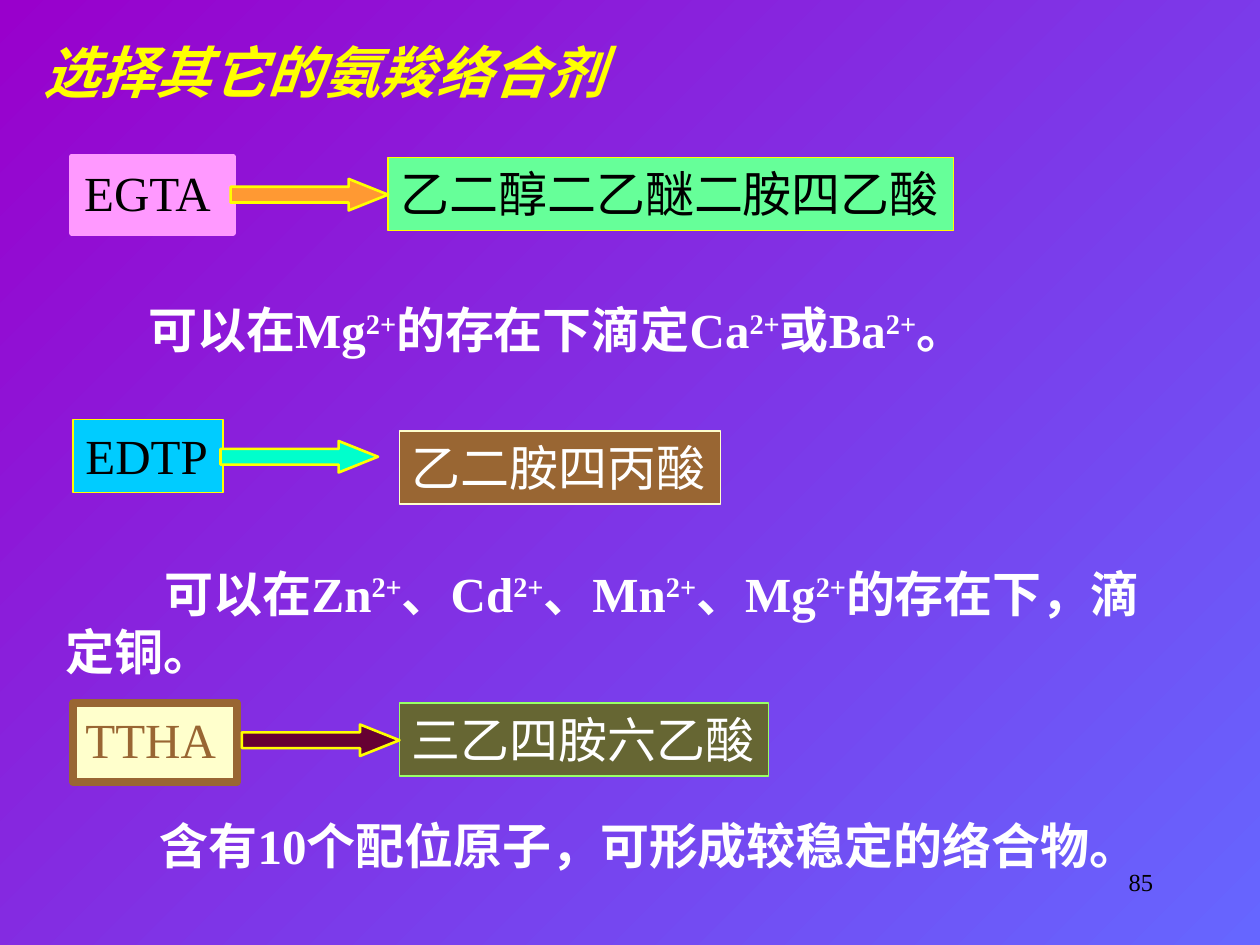
import pptx
import pptx.util
import pptx.dml.color
import pptx.enum.shapes
import pptx.enum.text

Inches = pptx.util.Inches
Pt = pptx.util.Pt
RGBColor = pptx.dml.color.RGBColor
SHAPE = pptx.enum.shapes.MSO_SHAPE
ALIGN = pptx.enum.text.PP_ALIGN
ANCHOR = pptx.enum.text.MSO_ANCHOR

FONT = "Times New Roman"
PURPLE = RGBColor(0x99, 0x00, 0xCC)
PERIWINKLE = RGBColor(0x66, 0x66, 0xFF)
YELLOW = RGBColor(0xFF, 0xFF, 0x00)
BLACK = RGBColor(0x00, 0x00, 0x00)
WHITE = RGBColor(0xFF, 0xFF, 0xFF)
PINK = RGBColor(0xFF, 0x99, 0xFF)
ORANGE = RGBColor(0xFF, 0x99, 0x33)
MINT = RGBColor(0x66, 0xFF, 0x99)
SKY = RGBColor(0x00, 0xCC, 0xFF)
AQUA = RGBColor(0x00, 0xFF, 0xCC)
BROWN = RGBColor(0x99, 0x66, 0x33)
CREAM = RGBColor(0xFF, 0xFF, 0xCC)
MAROON = RGBColor(0x66, 0x00, 0x33)
OLIVE = RGBColor(0x66, 0x66, 0x33)
LIME = RGBColor(0x99, 0xFF, 0x66)

deck = pptx.Presentation()
deck.slide_width = Inches(10)
deck.slide_height = Inches(7.5)
slide = deck.slides.add_slide(deck.slide_layouts[6])

# Diagonal gradient background
backdrop = slide.background.fill
backdrop.gradient()
backdrop.gradient_angle = 315
for stop, position, color in zip(backdrop.gradient_stops, (0, 1), (PURPLE, PERIWINKLE)):
    stop.position = position
    stop.color.rgb = color


def add_shape(kind, place, fill, line, weight):
    shape = slide.shapes.add_shape(kind, *[Inches(length) for length in place])
    shape.shadow.inherit = False
    shape.fill.solid()
    shape.fill.fore_color.rgb = fill
    shape.line.color.rgb = line
    shape.line.width = Pt(weight)
    return shape


def write(box, text, size, color, bold=False, align=ALIGN.LEFT):
    """Fill a box with text; parts between ^ marks are superscripts."""
    frame = box.text_frame
    frame.word_wrap = True
    frame.vertical_anchor = ANCHOR.TOP
    para = frame.paragraphs[0]
    para.alignment = align
    para.font.name = FONT
    para.font.size = Pt(size)
    para.font.bold = bold
    para.font.color.rgb = color
    for index, part in enumerate(text.split("^")):
        span = para.add_run()
        span.text = part
        if index % 2:
            span.font._element.set("baseline", "30000")
    return para


# Title
title = slide.shapes.add_textbox(Inches(0.25), Inches(0.25), Inches(7.92), Inches(0.64))
write(title, "选择其它的氨羧络合剂", 32, YELLOW, bold=True).font.italic = True

# Abbreviation and full name of each agent: place, text, text colour, fill, line, weight
names = [
    ((0.57, 1.24, 1.28, 0.61), "EGTA", BLACK, PINK, PINK, 3),
    ((3.08, 1.25, 4.49, 0.58), "乙二醇二乙醚二胺四乙酸", BLACK, MINT, YELLOW, 0.75),
    ((0.58, 3.33, 1.19, 0.58), "EDTP", BLACK, SKY, YELLOW, 0.75),
    ((3.17, 3.42, 2.55, 0.58), "乙二胺四丙酸", WHITE, BROWN, CREAM, 0.75),
    ((0.58, 5.58, 1.3, 0.63), "TTHA", BROWN, CREAM, BROWN, 4.5),
    ((3.17, 5.58, 2.93, 0.58), "三乙四胺六乙酸", WHITE, OLIVE, LIME, 0.75),
]
for place, text, color, fill, line, weight in names:
    box = add_shape(SHAPE.RECTANGLE, place, fill, line, weight)
    box.text_frame.margin_right = 0
    write(box, text, 28, color)

# Arrows from abbreviation to full name
for left, top, fill in [(1.83, 1.42, ORANGE), (1.75, 3.5, AQUA), (1.92, 5.75, MAROON)]:
    arrow = add_shape(SHAPE.RIGHT_ARROW, (left, top, 1.25, 0.25), fill, YELLOW, 1.5)
    arrow.adjustments[0] = 0.5
    arrow.adjustments[1] = 1.25

# Uses of each agent: place, first-line indent, text
notes = [
    ((1.08, 2.33, 6.84, 1.03), 0, "可以在Mg^2+^的存在下滴定Ca^2+^或Ba^2+^。"),
    ((0.42, 4.42, 9.08, 1.03), 0.79,
     "可以在Zn^2+^、Cd^2+^、Mn^2+^、Mg^2+^的存在下，滴定铜。"),
    ((1.17, 6.42, 8.3, 0.57), 0, "含有10个配位原子，可形成较稳定的络合物。"),
]
for place, indent, text in notes:
    box = slide.shapes.add_textbox(*[Inches(length) for length in place])
    para = write(box, text, 28, WHITE, bold=True)
    para._p.get_or_add_pPr().set("indent", str(Inches(indent)))

# Slide number
number = slide.shapes.add_textbox(Inches(7.17), Inches(6.83), Inches(2.08), Inches(0.5))
write(number, "85", 14, BLACK, align=ALIGN.RIGHT)

deck.save("out.pptx")
